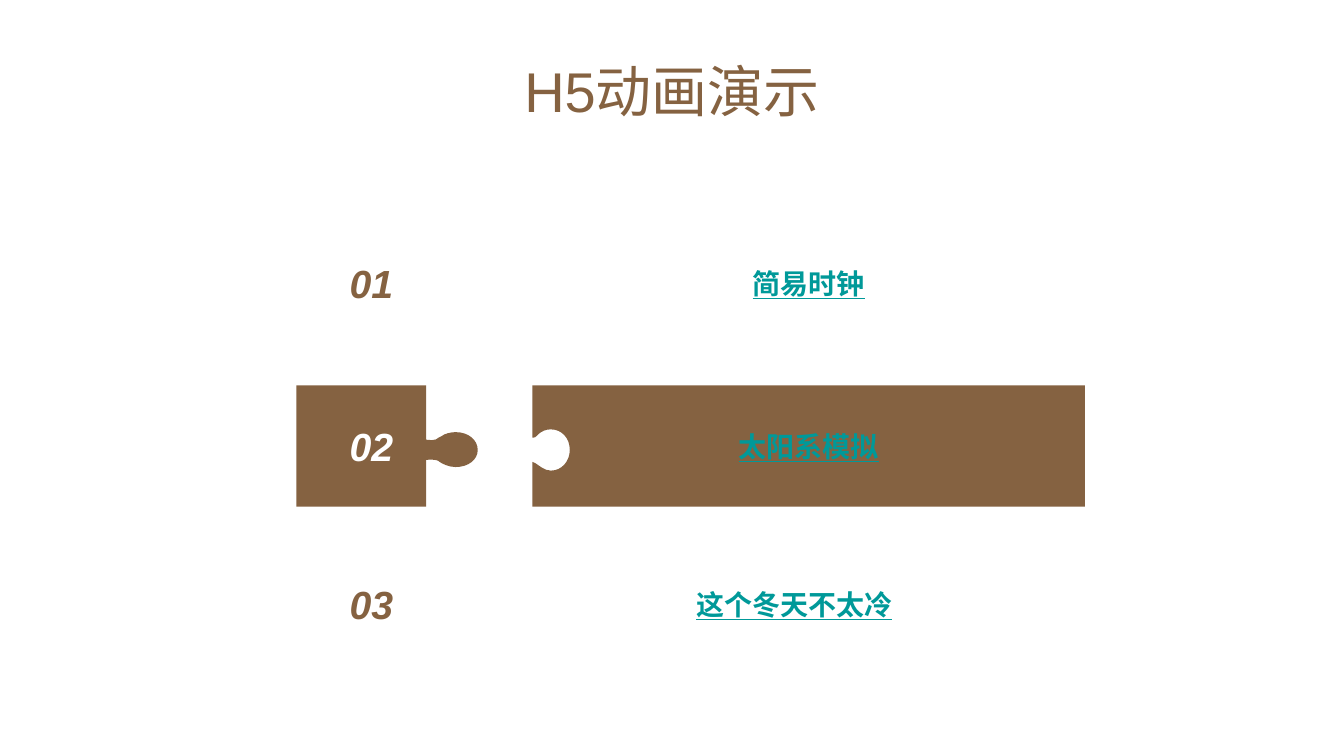
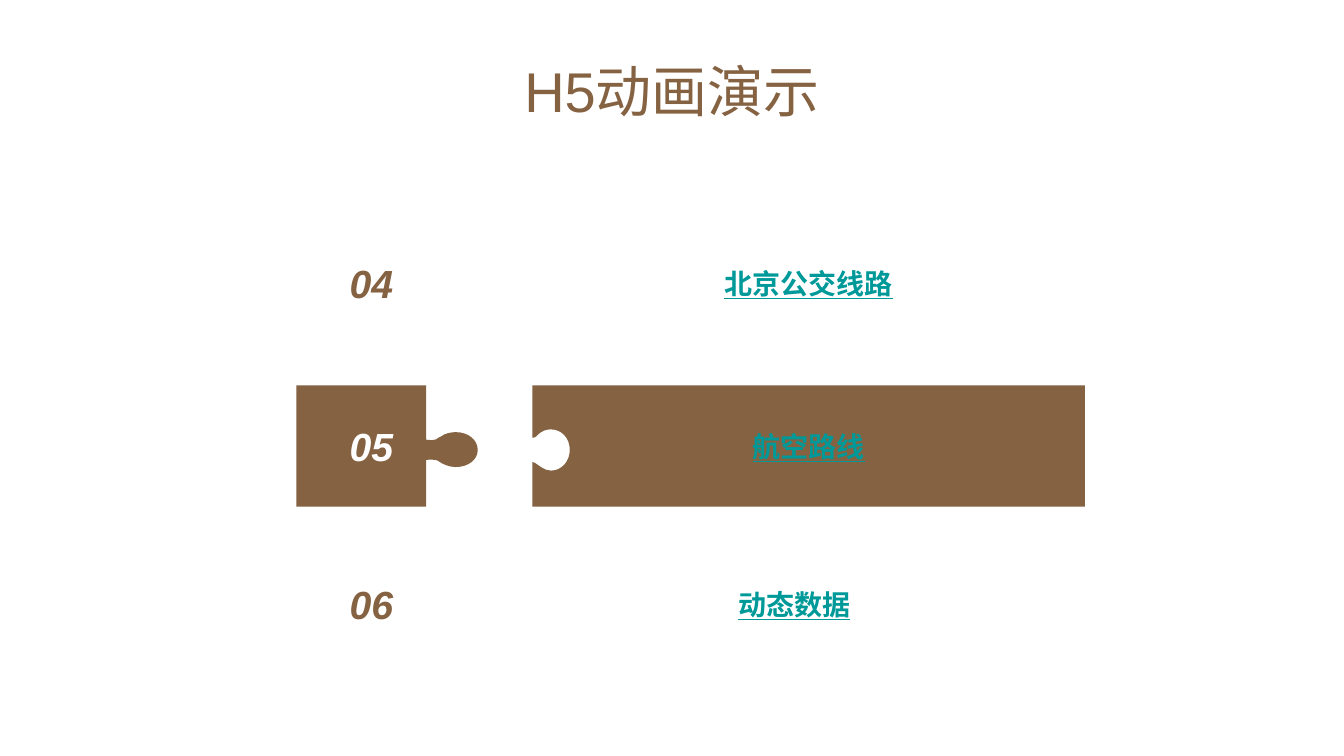
from lxml import etree
from pptx import Presentation
from pptx.dml.color import RGBColor
from pptx.enum import lang, text
from pptx.oxml.ns import qn
from pptx.util import Cm, Pt

TITLE = "H5动画演示"
SLIDES = [
    [("01", "简易时钟"), ("02", "太阳系模拟"), ("03", "这个冬天不太冷")],
    [("04", "北京公交线路"), ("05", "航空路线"), ("06", "动态数据")],
]
COLORS = {"brown": "856241", "white": "FFFFFF", "teal": "009999"}

# Each row: top, left of the label piece, piece fill, number colour (cm)
NUMBER_LEFT = 7.47
ROWS = [
    (5.61, 13.42, "white", "brown"),
    (9.71, 13.42, "brown", "white"),
    (13.69, 13.06, "white", "brown"),
]
TITLE_BOX = {"left": Cm(2.56), "top": Cm(0.81), "width": Cm(28.75), "height": Cm(2.9)}

TITLE_FONT = {"size": Pt(40), "bold": False}
NUMBER_FONT = {"size": Pt(28), "bold": True, "italic": True}
LABEL_FONT = {"size": Pt(20), "bold": True, "underline": True}
NUMBER_INSETS = {"margin_left": 0, "margin_right": Cm(0.79)}
LABEL_INSETS = {"margin_left": Cm(0.76), "margin_right": Cm(0.76)}

# Puzzle outlines in cm: corners, then the Bezier curves (two controls and an end)
# that run on from the last corner
HEIGHT = 3.06
NUMBER_CORNERS = [(3.27, 0), (0, 0), (0, HEIGHT), (3.27, HEIGHT), (3.27, 1.88)]
KNOB = [
    ((3.33, 1.87), (3.35, 1.87), (3.4, 1.87)),
    ((3.48, 1.87), (3.58, 1.89), (3.61, 1.93)),
    ((3.66, 1.97), (3.84, 2.06), (4.01, 2.06)),
    ((4.34, 2.06), (4.57, 1.87), (4.57, 1.63)),
    ((4.57, 1.38), (4.34, 1.18), (4.01, 1.18)),
    ((3.89, 1.18), (3.73, 1.22), (3.66, 1.28)),
    ((3.63, 1.31), (3.61, 1.32), (3.58, 1.32)),
    ((3.56, 1.36), (3.48, 1.38), (3.43, 1.38)),
    ((3.35, 1.38), (3.3, 1.38), (3.27, 1.37)),
]
LABEL_CORNERS = [(0, HEIGHT), (13.92, HEIGHT), (13.92, 0), (0, 0), (0, 1.32)]
SOCKET = [
    ((0.05, 1.32), (0.08, 1.31), (0.1, 1.28)),
    ((0.1, 1.27), (0.13, 1.26), (0.15, 1.23)),
    ((0.23, 1.16), (0.33, 1.11), (0.46, 1.11)),
    ((0.74, 1.11), (0.94, 1.33), (0.94, 1.63)),
    ((0.94, 1.91), (0.74, 2.15), (0.46, 2.15)),
    ((0.3, 2.15), (0.15, 2.01), (0.1, 1.98)),
    ((0.08, 1.97), (0.05, 1.95), (0, 1.93)),
]


def rgb(color):
    return RGBColor.from_string(COLORS[color])


def set_all(target, values):
    for key, value in values.items():
        setattr(target, key, value)


def bend(piece, curves):
    """Turn the last straight segments of the outline into Bezier curves."""
    segments = list(piece.element.iter(qn("a:lnTo")))[-len(curves):]
    for segment, curve in zip(segments, curves):
        bezier = etree.Element(qn("a:cubicBezTo"))
        for x, y in curve:
            etree.SubElement(bezier, qn("a:pt"), x=str(int(Cm(x))), y=str(int(Cm(y))))
        segment.getparent().replace(segment, bezier)


def write(shape, words, font, color, insets):
    frame = shape.text_frame
    set_all(frame, {"word_wrap": True, "auto_size": text.MSO_AUTO_SIZE.NONE,
                    "vertical_anchor": text.MSO_ANCHOR.MIDDLE, **insets})
    paragraph = frame.paragraphs[0]
    paragraph.alignment = text.PP_ALIGN.CENTER
    run = paragraph.add_run()
    run.text = words
    set_all(run.font, {"name": "Arial", **font,
                       "language_id": lang.MSO_LANGUAGE_ID.SIMPLIFIED_CHINESE})
    run.font.color.rgb = rgb(color)


def add_piece(slide, corners, curves, left, top, fill):
    ends = [curve[-1] for curve in curves]
    start, *others = [(Cm(x), Cm(y)) for x, y in corners + ends]
    builder = slide.shapes.build_freeform(*start)
    builder.add_line_segments(others, close=False)
    piece = builder.convert_to_shape(Cm(left), Cm(top))
    bend(piece, curves)
    outline = next(piece.element.iter(qn("a:path")))
    etree.SubElement(outline, qn("a:close"))
    piece.shadow.inherit = False
    piece.fill.solid()
    piece.fill.fore_color.rgb = rgb(fill)
    piece.line.fill.background()
    return piece


def add_agenda(prs, items):
    slide = prs.slides.add_slide(prs.slide_layouts.get_by_name("Title Only"))
    title = slide.shapes.title
    set_all(title, TITLE_BOX)
    write(title, TITLE, TITLE_FONT, "brown", {})
    for (number, label), (top, label_left, fill, number_color) in zip(items, ROWS):
        number_piece = add_piece(slide, NUMBER_CORNERS, KNOB, NUMBER_LEFT, top, fill)
        write(number_piece, number, NUMBER_FONT, number_color, NUMBER_INSETS)
        label_piece = add_piece(slide, LABEL_CORNERS, SOCKET, label_left, top, fill)
        write(label_piece, label, LABEL_FONT, "teal", LABEL_INSETS)


def main():
    prs = Presentation()
    set_all(prs, {"slide_width": Cm(33.87), "slide_height": Cm(19.05)})
    for items in SLIDES:
        add_agenda(prs, items)
    prs.save("out.pptx")


if __name__ == "__main__":
    main()
